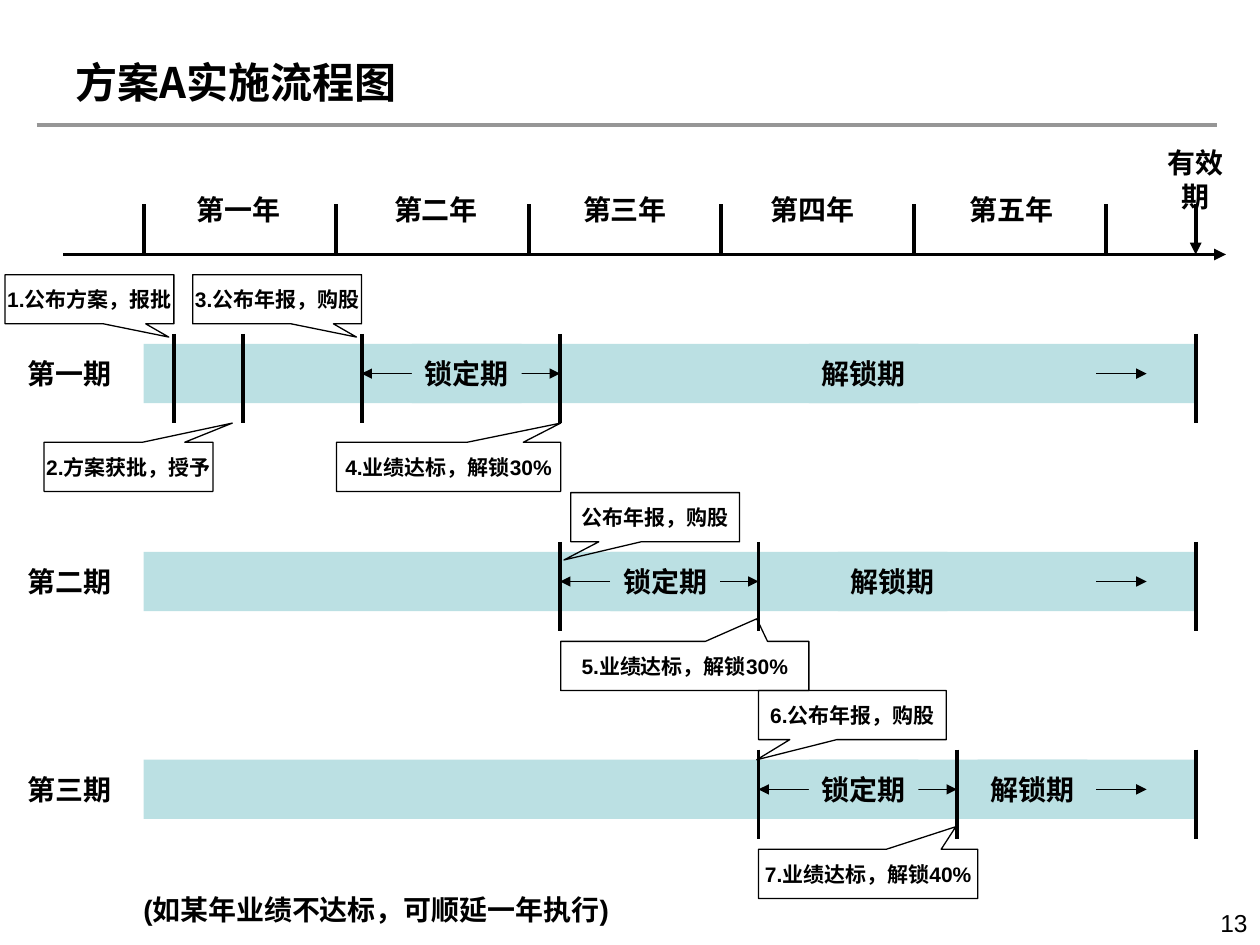
from lxml import etree
from pptx import Presentation
from pptx.dml.color import RGBColor
from pptx.enum.shapes import MSO_CONNECTOR, MSO_SHAPE
from pptx.enum.text import MSO_ANCHOR, PP_ALIGN
from pptx.oxml.ns import qn
from pptx.util import Inches, Pt

BLACK = RGBColor(0x00, 0x00, 0x00)
GREY = RGBColor(0x96, 0x96, 0x96)
TEAL = RGBColor(0xBB, 0xE0, 0xE3)
LEFT, CENTER, RIGHT = PP_ALIGN.LEFT, PP_ALIGN.CENTER, PP_ALIGN.RIGHT
TOP, MIDDLE = MSO_ANCHOR.TOP, MSO_ANCHOR.MIDDLE
STRAIGHT = MSO_CONNECTOR.STRAIGHT
RECTANGLE = MSO_SHAPE.RECTANGLE
CALLOUT = MSO_SHAPE.RECTANGULAR_CALLOUT

# Shared positions in inches
BAR_LEFT, BAR_WIDTH, BAR_HEIGHT = 1.14, 8.35, 0.47
FIRST_BAR_TOP, BAR_STEP = 2.73, 1.65
FIRST_LOCK, LOCK_WIDTH = 2.87, 1.575
AXIS_Y, TICK_TOP, YEAR_STEP = 2.02, 1.62, 1.528
END_X = BAR_LEFT + BAR_WIDTH

YEARS = [("第一年", 1.38), ("第二年", 2.95), ("第三年", 4.45),
         ("第四年", 5.94), ("第五年", 7.52)]

# Period name, left of its unlock label, extra event marks
PERIODS = [("第一期", 6.42, [1.38, 1.93]),
           ("第二期", 6.65, []),
           ("第三期", 7.76, [])]

# Text, left, top, width, pointer offset
CALLOUTS = [
    ("1.公布方案，报批", 0.04, 2.18, 1.34, (0.47, 0.77)),
    ("2.方案获批，授予", 0.35, 3.51, 1.34, (0.615, -0.89)),
    ("3.公布年报，购股", 1.53, 2.18, 1.34, (0.47, 0.77)),
    ("4.业绩达标，解锁30%", 2.67, 3.51, 1.78, (0.5, -0.89)),
    ("公布年报，购股", 4.53, 3.91, 1.34, (-0.54, 0.87)),
    ("6.公布年报，购股", 6.02, 5.48, 1.49, (-0.51, 0.91)),
    ("5.业绩达标，解锁30%", 4.45, 5.09, 1.97, (0.29, -0.96)),
    ("7.业绩达标，解锁40%", 6.02, 6.74, 1.74, (0.4, -0.96)),
]


def write_text(shape, text, size, align=CENTER, anchor=MIDDLE, wrap=False,
               font="Arial", bold=True):
    frame = shape.text_frame
    frame.word_wrap = wrap
    frame.vertical_anchor = anchor
    para = frame.paragraphs[0]
    para.text = text
    para.alignment = align
    para.font.name = font
    para.font.size = Pt(size)
    para.font.bold = bold
    para.font.color.rgb = BLACK


def add_label(page, text, left, top, width, height, size=16, **style):
    box = page.shapes.add_textbox(Inches(left), Inches(top),
                                  Inches(width), Inches(height))
    write_text(box, text, size, **style)


def add_line(page, x1, y1, x2, y2, weight=2.25, color=BLACK, arrow=False):
    line = page.shapes.add_connector(STRAIGHT, Inches(x1), Inches(y1),
                                     Inches(x2), Inches(y2))
    line.line.color.rgb = color
    line.line.width = Pt(weight)
    if arrow:
        etree.SubElement(line.line._get_or_add_ln(), qn("a:tailEnd"),
                         type="triangle")
    etree.SubElement(line._element.spPr, qn("a:effectLst"))


def add_block(page, left, top, width, text=None):
    block = page.shapes.add_shape(RECTANGLE, Inches(left), Inches(top),
                                  Inches(width), Inches(BAR_HEIGHT))
    block.shadow.inherit = False
    block.fill.solid()
    block.fill.fore_color.rgb = TEAL
    block.line.fill.background()
    if text:
        write_text(block, text, 16)


def add_callout(page, text, left, top, width, pointer):
    callout = page.shapes.add_shape(CALLOUT, Inches(left), Inches(top),
                                    Inches(width), Inches(0.39))
    callout.shadow.inherit = False
    callout.fill.background()
    callout.line.color.rgb = BLACK
    callout.line.width = Pt(0.75)
    callout.adjustments[0], callout.adjustments[1] = pointer
    frame = callout.text_frame
    frame.margin_left = frame.margin_right = 0
    frame.margin_top = frame.margin_bottom = 0
    write_text(callout, text, 12, wrap=True)


def add_timeline(page):
    add_line(page, 0.5, AXIS_Y, 9.73, AXIS_Y, arrow=True)
    for index in range(6):
        x = BAR_LEFT + index * YEAR_STEP
        add_line(page, x, TICK_TOP, x, AXIS_Y)
    for year, left in YEARS:
        add_label(page, year, left, 1.47, 1.02, 0.39)
    add_line(page, END_X, TICK_TOP, END_X, AXIS_Y, arrow=True)
    add_label(page, "有效期", 9.09, 1.23, 0.79, 0.39)


def add_period(page, index, name, unlock_left, extra_marks):
    top = FIRST_BAR_TOP + index * BAR_STEP
    middle = top + BAR_HEIGHT / 2
    lock_start = FIRST_LOCK + index * LOCK_WIDTH
    lock_end = lock_start + LOCK_WIDTH

    add_block(page, BAR_LEFT, top, BAR_WIDTH)
    add_label(page, name, 0.04, top, 1.02, BAR_HEIGHT)
    for x in extra_marks + [lock_start, lock_end, END_X]:
        add_line(page, x, top - 0.08, x, top + 0.63)
    for start, end in [(lock_start + 0.4, lock_start),
                       (lock_end - 0.39, lock_end), (8.7, 9.1)]:
        add_line(page, start, middle, end, middle, weight=0.75, arrow=True)
    add_block(page, lock_start + 0.4, top, 0.87, "锁定期")
    add_block(page, unlock_left, top, 0.87, "解锁期")


def main():
    deck = Presentation()
    deck.slide_width, deck.slide_height = Inches(10), Inches(7.5)
    page = deck.slides.add_slide(deck.slide_layouts[6])

    # Heading and page number
    add_label(page, "13", 7.67, 7.16, 2.33, 0.52, size=14, align=RIGHT,
              anchor=TOP, wrap=True, bold=False)
    add_line(page, 0.29, 0.99, 9.66, 0.99, color=GREY)
    add_label(page, "方案A实施流程图", 0.5, 0.3, 8, 0.69, size=24, align=LEFT,
              wrap=True, font="Noto Sans CJK SC")

    # Year axis, the three periods and their events
    add_timeline(page)
    for index, period in enumerate(PERIODS):
        add_period(page, index, *period)
    for callout in CALLOUTS:
        add_callout(page, *callout)

    # Footnote
    add_label(page, "(如某年业绩不达标，可顺延一年执行)", 0.73, 6.98, 4.51, 0.47)
    deck.save("out.pptx")


if __name__ == "__main__":
    main()
